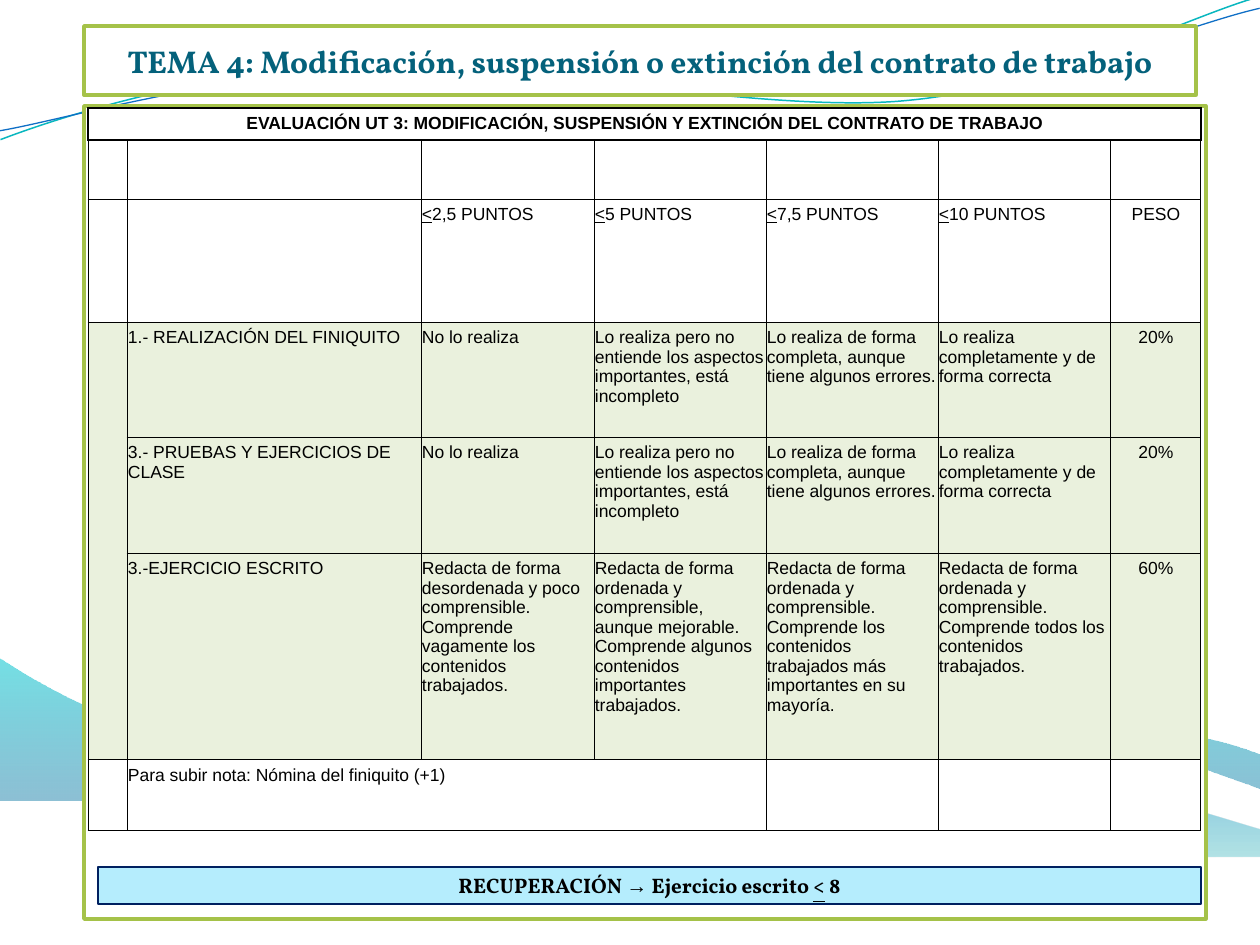
"""Builds the grading rubric slide for unit 4 on changes to the employment contract."""
from dataclasses import dataclass
from itertools import accumulate, groupby

from lxml import etree
from pptx import Presentation
from pptx.dml.color import RGBColor
from pptx.enum.shapes import MSO_SHAPE
from pptx.enum.text import MSO_ANCHOR, PP_ALIGN
from pptx.oxml import parse_xml
from pptx.oxml.ns import nsdecls, qn
from pptx.util import Pt

RECTANGLE = MSO_SHAPE.RECTANGLE
LEFT, CENTER = PP_ALIGN.LEFT, PP_ALIGN.CENTER
TOP, MIDDLE = MSO_ANCHOR.TOP, MSO_ANCHOR.MIDDLE
PX = 914400 / 126
BLANK_LAYOUT = 6


@dataclass(frozen=True)
class Theme:
    serif: str = "Vollkorn"
    sans: str = "Arial"
    title_size: int = 18
    bar_size: int = 12
    table_size: int = 10
    title: str = "04617B"
    ink: str = "000000"
    paper: str = "FFFFFF"
    frame: str = "A5C249"
    criteria: str = "EAF1DD"
    bar: str = "B5EDFD"
    bar_line: str = "002060"


THEME = Theme()

TITLE = "TEMA 4: Modificación, suspensión o extinción del contrato de trabajo"
RECOVERY = "RECUPERACIÓN → Ejercicio escrito < 8"
HEADING = "EVALUACIÓN UT 3: MODIFICACIÓN, SUSPENSIÓN Y EXTINCIÓN DEL CONTRATO DE TRABAJO"
LEVELS = ["No lo realiza",
          "Lo realiza pero no entiende los aspectos importantes, está incompleto",
          "Lo realiza de forma completa, aunque tiene algunos errores.",
          "Lo realiza completamente y de forma correcta",
          "20%"]
WRITTEN_LEVELS = [
    "Redacta de forma desordenada y poco comprensible. Comprende vagamente los contenidos trabajados.",
    "Redacta de forma ordenada y comprensible, aunque mejorable. Comprende algunos contenidos importantes trabajados.",
    "Redacta de forma ordenada y comprensible. Comprende los contenidos trabajados más importantes en su mayoría.",
    "Redacta de forma ordenada y comprensible. Comprende todos los contenidos trabajados.",
    "60%"]
RUBRIC = [
    [HEADING],
    [],
    ["", "", "<2,5 PUNTOS", "<5 PUNTOS", "<7,5 PUNTOS", "<10 PUNTOS", "PESO"],
    ["", "1.- REALIZACIÓN DEL FINIQUITO", *LEVELS],
    ["", "3.- PRUEBAS Y EJERCICIOS DE CLASE", *LEVELS],
    ["", "3.-EJERCICIO ESCRITO", *WRITTEN_LEVELS],
    ["", "Para subir nota: Nómina del finiquito (+1)"],
]
COLUMNS = [39, 294, 173, 172, 172, 173, 90]
ROWS = [32, 59, 123, 115, 116, 207, 71]
TABLE_LEFT, TABLE_TOP = 88, 108
MERGES = [((0, 0), (0, 6)), ((3, 0), (5, 0)), ((6, 1), (6, 3))]
CRITERIA_ROWS = range(3, 6)
WEIGHT_COLUMN = 6

WAVE_TILT = 357.3
WAVE_LINES = [
    ("09B7BF", 0.85, [[(-2, 110)], [(59, 90), (199, 52), (350, 53)],
                      [(499, 52), (745, 118), (896, 114)], [(1049, 109), (1184, 45), (1260, 27)]]),
    ("0F6FC6", 0.75, [[(-2, 101)], [(57, 94), (207, 57), (357, 58)],
                      [(509, 58), (750, 111), (902, 107)], [(1052, 104), (1188, 51), (1262, 38)]]),
]
WAVE_FILLS = [
    ([(0, "0074A1", 45), (1, "00C6CF", 55)],
     [[(0, 801)], [(554, 801)], [(600, 779), (837, 721), (955, 721)],
      [(1075, 721), (1207, 769), (1260, 789)], [(1261, 755)],
      [(1239, 745), (1096, 704), (940, 706)], [(784, 706), (481, 765), (324, 757)],
      [(163, 756), (58, 696), (-1, 658)]]),
    ([(0, "00A1A9", 30), (0.8, "008BBF", 45)],
     [[(604, 857)], [(641, 842), (859, 779), (969, 774)],
      [(1079, 769), (1211, 815), (1260, 829)], [(1260, 856)]]),
]


def emu(*lengths):
    return [round(length * PX) for length in lengths]


def write(frame, text, *, size, font, color=THEME.ink, bold=False, align=LEFT,
          anchor=TOP, insets=None):
    frame.word_wrap = True
    frame.vertical_anchor = anchor
    if insets:
        across, down = emu(*insets)
        frame.margin_left = frame.margin_right = across
        frame.margin_top = frame.margin_bottom = down
    para = frame.paragraphs[0]
    para.alignment = align
    for mark, letters in groupby(text, lambda letter: letter if letter in "<→" else ""):
        span = para.add_run()
        span.text = "".join(letters)
        span.font.name = THEME.sans if mark == "→" else font
        span.font.size = Pt(size)
        span.font.bold = bold
        span.font.underline = mark == "<"
        span.font.color.rgb = RGBColor.from_string(color)


def add_box(page, area, *, fill, line, width):
    box = page.shapes.add_shape(RECTANGLE, *emu(*area))
    box.shadow.inherit = False
    box.fill.solid()
    box.fill.fore_color.rgb = RGBColor.from_string(fill)
    box.line.color.rgb = RGBColor.from_string(line)
    box.line.width = Pt(width)
    return box


def add_wave(page, segments, *, closed):
    ends = [emu(*segment[-1]) for segment in segments]
    builder = page.shapes.build_freeform(*ends[0], scale=1.0)
    builder.add_line_segments(ends[1:], close=closed)
    wave = builder.convert_to_shape()
    wave.shadow.inherit = False
    straight = list(wave.element.spPr.iter(qn("a:lnTo")))
    for node, segment in zip(straight, segments[1:]):
        if len(segment) == 3:
            curve = etree.Element(qn("a:cubicBezTo"))
            for x, y in (emu(*point) for point in segment):
                point = etree.SubElement(curve, qn("a:pt"))
                point.set("x", str(x - wave.left))
                point.set("y", str(y - wave.top))
            node.getparent().replace(node, curve)
    return wave


def add_background(page):
    for color, width, segments in WAVE_LINES:
        wave = add_wave(page, segments, closed=False)
        wave.rotation = WAVE_TILT
        wave.fill.background()
        wave.line.color.rgb = RGBColor.from_string(color)
        wave.line.width = Pt(width)
    for stops, segments in WAVE_FILLS:
        wave = add_wave(page, segments, closed=True)
        wave.line.fill.background()
        wave.fill.gradient()
        wave.fill.gradient_angle = 90
        for stop, (position, color, _) in zip(wave.fill.gradient_stops, stops):
            stop.position = position
            stop.color.rgb = RGBColor.from_string(color)
        for node, (_, _, opacity) in zip(wave.element.spPr.iter(qn("a:srgbClr")), stops):
            etree.SubElement(node, qn("a:alpha")).set("val", str(opacity * 1000))


def set_borders(cell, widths):
    properties = cell._tc.get_or_add_tcPr()
    for side, width in widths.items():
        properties.append(parse_xml(
            f'<a:ln{side} {nsdecls("a")} w="{Pt(width)}"><a:solidFill>'
            f'<a:srgbClr val="{THEME.ink}"/></a:solidFill></a:ln{side}>'))


def add_rubric(page):
    area = emu(TABLE_LEFT, TABLE_TOP, sum(COLUMNS), sum(ROWS))
    table = page.shapes.add_table(len(ROWS), len(COLUMNS), *area).table
    table.first_row = table.horz_banding = False
    for tracks, sizes, side in ((table.columns, COLUMNS, "width"), (table.rows, ROWS, "height")):
        edges = emu(0, *accumulate(sizes))
        for track, start, end in zip(tracks, edges, edges[1:]):
            setattr(track, side, end - start)
    for first, last in MERGES:
        table.cell(*first).merge(table.cell(*last))
    for row in range(len(ROWS)):
        for column in range(len(COLUMNS)):
            cell = table.cell(row, column)
            heavy = 0.96 if row == 0 else 0.5
            set_borders(cell, {"L": heavy, "R": heavy, "T": 0.96 if row < 2 else 0.5, "B": heavy})
            if row in CRITERIA_ROWS:
                cell.fill.solid()
                cell.fill.fore_color.rgb = RGBColor.from_string(THEME.criteria)
            else:
                cell.fill.background()
            text = RUBRIC[row][column] if column < len(RUBRIC[row]) else ""
            if text:
                cell.margin_left, cell.margin_right, cell.margin_top, cell.margin_bottom = emu(1, 1, 6, 6)
                centered = row == 0 or column == WEIGHT_COLUMN
                write(cell.text_frame, text, size=THEME.table_size, font=THEME.sans,
                      bold=row == 0, align=CENTER if centered else LEFT)


def main():
    deck = Presentation()
    deck.slide_width, deck.slide_height = emu(1260, 945)
    page = deck.slides.add_slide(deck.slide_layouts[BLANK_LAYOUT])
    add_background(page)
    add_box(page, (84, 106, 1122, 813), fill=THEME.paper, line=THEME.frame, width=2)
    title = add_box(page, (84, 26, 1112, 69), fill=THEME.paper, line=THEME.frame, width=2)
    write(title.text_frame, TITLE, size=THEME.title_size, font=THEME.serif, color=THEME.title,
          bold=True, align=CENTER, anchor=MIDDLE, insets=(6, 6))
    add_rubric(page)
    bar = add_box(page, (98, 867, 1103, 37), fill=THEME.bar, line=THEME.bar_line, width=0.75)
    write(bar.text_frame, RECOVERY, size=THEME.bar_size, font=THEME.serif, bold=True,
          align=CENTER, insets=(13, 6))
    deck.save("out.pptx")


if __name__ == "__main__":
    main()
